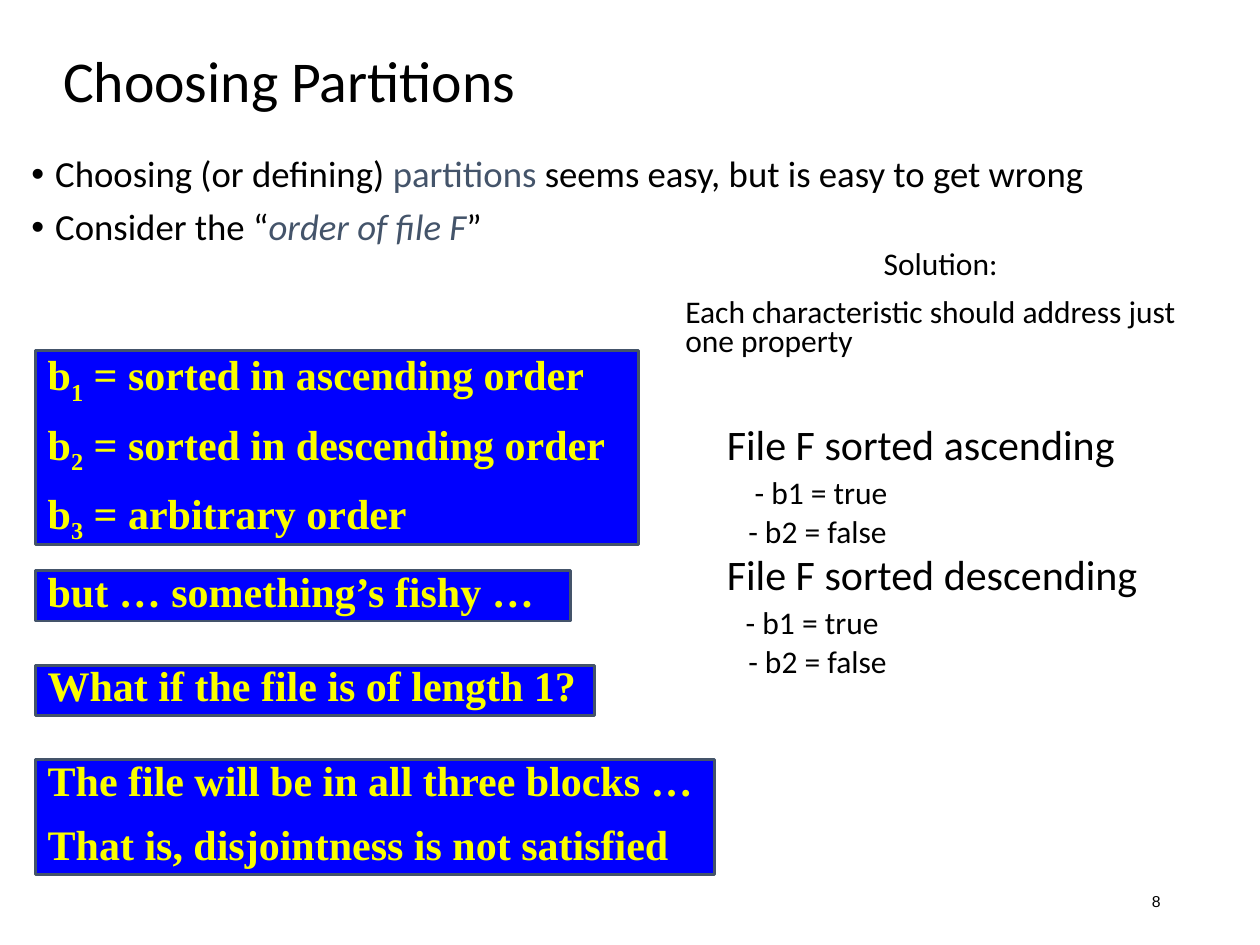
from lxml import etree
from pptx import Presentation
from pptx.dml.color import RGBColor
from pptx.enum.shapes import MSO_SHAPE
from pptx.enum.text import MSO_ANCHOR, MSO_AUTO_SIZE, PP_ALIGN
from pptx.oxml.ns import qn
from pptx.util import Inches, Pt

RECTANGLE = MSO_SHAPE.RECTANGLE
TOP, MIDDLE = MSO_ANCHOR.TOP, MSO_ANCHOR.MIDDLE
LEFT, CENTER, RIGHT = PP_ALIGN.LEFT, PP_ALIGN.CENTER, PP_ALIGN.RIGHT
NO_AUTOFIT = MSO_AUTO_SIZE.NONE

COLORS = {"black": "000000", "slate": "44546A", "blue": "0000FF", "yellow": "FAFD00"}


def color(name):
    return RGBColor.from_string(COLORS[name])


def write(frame, text, first=False, font="Calibri", size=18, ink="black", bold=False,
          align=LEFT, line=1.0, before=0, indent=0, bullet=False, anchor=TOP):
    """Add a paragraph; text is a string or a list of (string, style) runs."""
    frame.word_wrap = True
    frame.auto_size = NO_AUTOFIT
    frame.vertical_anchor = anchor
    paragraph = frame.paragraphs[0] if first else frame.add_paragraph()
    paragraph.alignment = align
    paragraph.line_spacing = line
    paragraph.space_before = Pt(before)
    properties = paragraph._p.get_or_add_pPr()
    properties.set("marL", str(Inches(indent)))
    if bullet:
        properties.set("indent", str(-Inches(indent)))
        etree.SubElement(properties, qn("a:buFont"), typeface="Arial")
        etree.SubElement(properties, qn("a:buChar"), char="•")
    for words, style in [(text, "")] if isinstance(text, str) else text:
        run = paragraph.add_run()
        run.text = words
        run.font.name = font
        run.font.size = Pt(size)
        run.font.bold = bold
        run.font.italic = style == "term italic"
        run.font.color.rgb = color("slate" if style.startswith("term") else ink)
        if style == "subscript":
            run.font._element.set("baseline", "-25000")


deck = Presentation()
deck.slide_width, deck.slide_height = Inches(10), Inches(7.5)
slide = deck.slides.add_slide(deck.slide_layouts[5])

title = slide.shapes.title
title.left, title.top = Inches(0.4), Inches(-0.06)
title.width, title.height = Inches(8.63), Inches(1.45)
write(title.text_frame, "Choosing Partitions", first=True, size=33, line=0.9, anchor=MIDDLE)

points = slide.shapes.add_textbox(Inches(0.15), Inches(1.19), Inches(9.7), Inches(1.62))
bullets = [
    [("Choosing (or defining) ", ""), ("partitions", "term"),
     (" seems easy, but is easy to get wrong", "")],
    [("Consider the “", ""), ("order of file F", "term italic"), ("”", "")],
]
for i, point in enumerate(bullets):
    write(points.text_frame, point, first=i == 0, size=21, line=0.9, before=7.5,
          indent=0.19, bullet=True)

page = slide.shapes.add_textbox(Inches(7.06), Inches(6.95), Inches(2.25), Inches(0.4))
write(page.text_frame, "8", first=True, font="Arial", size=9, align=RIGHT, anchor=MIDDLE)

orders = ["sorted in ascending order", "sorted in descending order", "arbitrary order"]
blocks = [[("b", ""), (str(n), "subscript"), (f" = {order}", "")]
          for n, order in enumerate(orders, 1)]
panels = [
    (2.78, 4.79, 1.54, blocks),
    (4.53, 4.25, 0.4, ["but … something’s fishy …"]),
    (5.28, 4.44, 0.4, ["What if the file is of length 1?"]),
    (6.03, 5.39, 0.91, ["The file will be in all three blocks …",
                        "That is, disjointness is not satisfied"]),
]
for top, width, height, lines in panels:
    panel = slide.shapes.add_shape(RECTANGLE, Inches(0.28), Inches(top),
                                   Inches(width), Inches(height))
    panel.shadow.inherit = False
    panel.fill.solid()
    panel.fill.fore_color.rgb = color("blue")
    panel.line.color.rgb = color("slate")
    panel.line.width = Pt(1.5)
    for i, text in enumerate(lines):
        write(panel.text_frame, text, first=i == 0, font="Times New Roman", size=24,
              ink="yellow", bold=True, line=0.75, before=15)

solution = slide.shapes.add_textbox(Inches(5.34), Inches(1.96), Inches(4.25), Inches(0.93))
write(solution.text_frame, "Solution:", first=True, align=CENTER, line=0.75, before=11.2)
write(solution.text_frame, "Each characteristic should address just one property",
      line=0.75, before=11.2)

answers = slide.shapes.add_textbox(Inches(5.67), Inches(3.38), Inches(5.11), Inches(2.06))
for i, (direction, indent) in enumerate([("ascending", 0.22), ("descending", 0.15)]):
    write(answers.text_frame, f"File F sorted {direction}", first=i == 0, size=24,
          line=0.7, before=7.5)
    write(answers.text_frame, "- b1 = true", line=0.7, before=9.2, indent=indent)
    write(answers.text_frame, "- b2 = false", line=0.7, before=7.1, indent=0.17)

deck.save("out.pptx")
